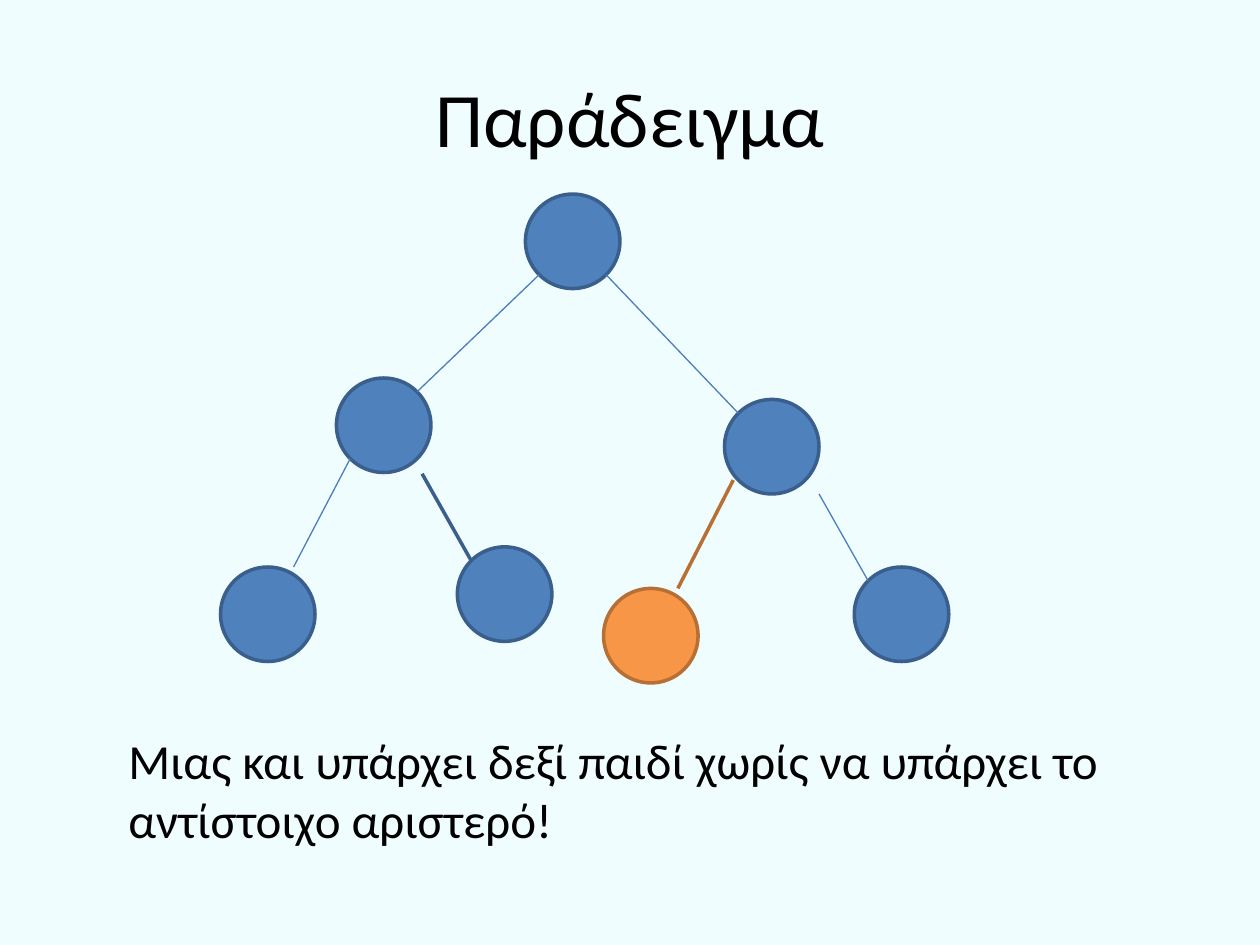
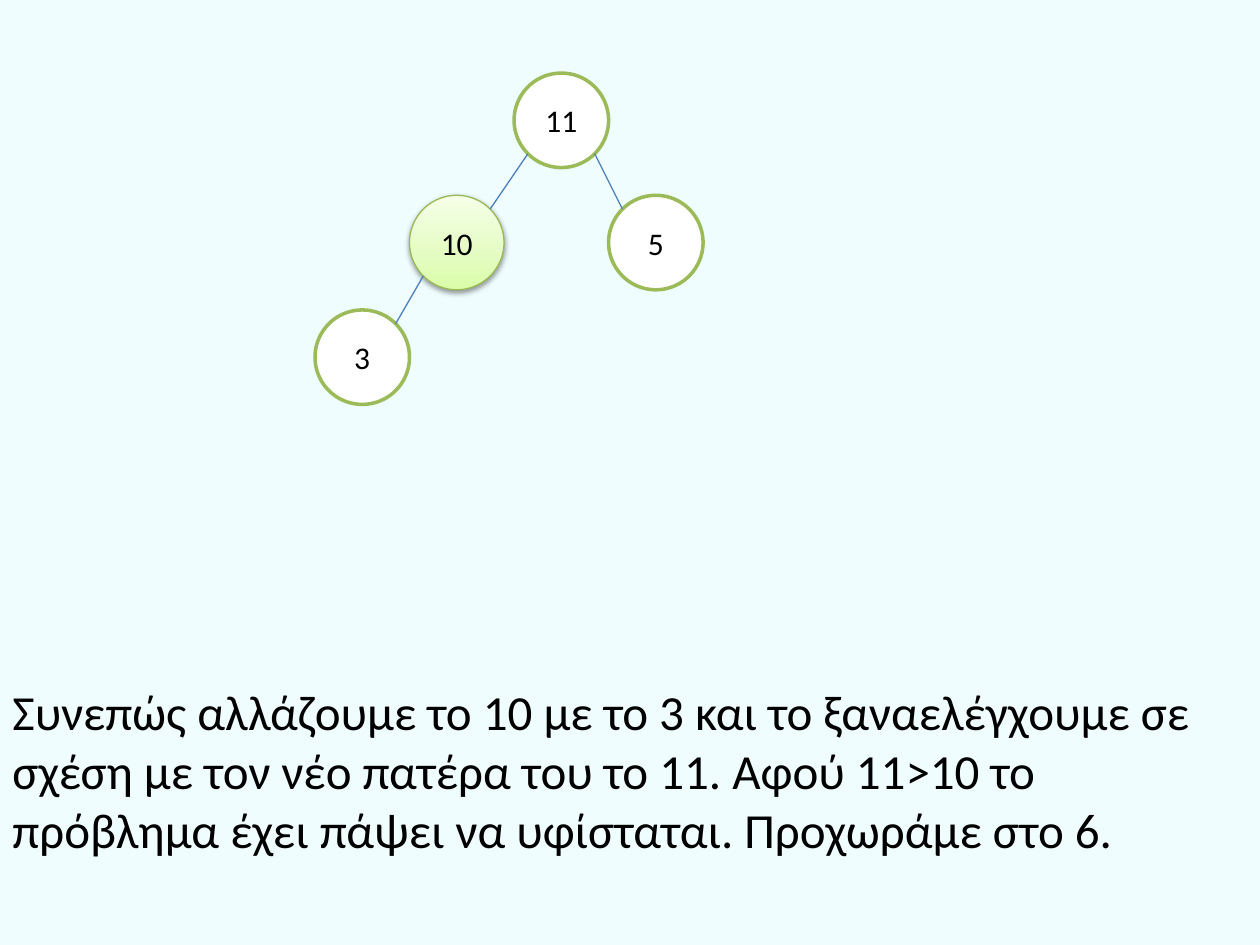
from dataclasses import dataclass
from math import sqrt
from typing import Iterable, Optional

from lxml.etree import SubElement
from pptx import Presentation
from pptx.dml.color import RGBColor as RGB
from pptx.enum.shapes import MSO_CONNECTOR as CONN, MSO_SHAPE as SHAPE
from pptx.enum.text import MSO_ANCHOR as ANCHOR, MSO_AUTO_SIZE as AUTO, PP_ALIGN as ALIGN
from pptx.oxml.ns import qn
from pptx.slide import Slide
from pptx.util import Inches, Pt

Point = tuple[float, float]


@dataclass(frozen=True)
class Style:
    """Fill and outline of a node; a gradient replaces the fill and casts a shadow."""
    fill: str
    line: str
    width: float = 2
    gradient: tuple[tuple[int, str], ...] = ()


@dataclass(frozen=True)
class Theme:
    font: str = "Calibri"
    background: str = "F0FDFE"
    text: str = "000000"
    title_size: int = 44
    body_size: int = 28
    node_size: int = 18
    diameter: float = 0.75
    edge: str = "4B7EBC"
    edge_width: float = 0.75
    blue: Style = Style("4F81BD", "3A5F8C")
    orange: Style = Style("F79646", "B76F34")
    white: Style = Style("FFFFFF", "9BBB59")
    green: Style = Style("E4FCC2", "98B955", 0.75,
                         ((0, "DAFDA7"), (35, "E4FCC2"), (100, "F5FFE7")))


THEME = Theme()


@dataclass(frozen=True)
class Node:
    left: float
    top: float
    style: Style
    label: str = ""

    def diagonal(self, dx: int, dy: int) -> Point:
        """Point on the rim, 45 degrees towards the corner (dx, dy)."""
        r = THEME.diameter / 2
        return self.left + r + dx * r / sqrt(2), self.top + r + dy * r / sqrt(2)


@dataclass(frozen=True)
class Edge:
    """Line from parent to child, rim to rim unless an end is given."""
    parent: Node
    child: Node
    start: Optional[Point] = None
    end: Optional[Point] = None
    style: Optional[Style] = None


def set_font(p, size: int) -> None:
    p.font.name = THEME.font
    p.font.size = Pt(size)
    p.font.color.rgb = RGB.from_string(THEME.text)


def set_line(line, color: str, width: float) -> None:
    line.color.rgb = RGB.from_string(color)
    line.width = Pt(width)


def add_gradient(sp, stops: Iterable[tuple[int, str]]) -> None:
    sp.fill.gradient()
    sp.fill.gradient_angle = 90
    stop_list = sp._element.spPr.find(qn("a:gradFill")).find(qn("a:gsLst"))
    for old in list(stop_list):
        stop_list.remove(old)
    for percent, color in stops:
        gs = SubElement(stop_list, qn("a:gs"), pos=str(percent * 1000))
        SubElement(gs, qn("a:srgbClr"), val=color)


def add_shadow(sp) -> None:
    effects = sp._element.spPr.find(qn("a:effectLst"))
    shadow = SubElement(effects, qn("a:outerShdw"), blurRad=str(Pt(3.1)),
                        dist=str(Pt(1.6)), dir="5400000", rotWithShape="0")
    color = SubElement(shadow, qn("a:srgbClr"), val="000000")
    SubElement(color, qn("a:alpha"), val="38000")


def add_node(slide: Slide, node: Node) -> None:
    d = Inches(THEME.diameter)
    sp = slide.shapes.add_shape(SHAPE.OVAL, Inches(node.left), Inches(node.top), d, d)
    set_line(sp.line, node.style.line, node.style.width)
    sp.shadow.inherit = False
    if node.style.gradient:
        add_gradient(sp, node.style.gradient)
        add_shadow(sp)
    else:
        sp.fill.solid()
        sp.fill.fore_color.rgb = RGB.from_string(node.style.fill)
    if node.label:
        tf = sp.text_frame
        tf.vertical_anchor = ANCHOR.MIDDLE
        p = tf.paragraphs[0]
        p.text = node.label
        p.alignment = ALIGN.CENTER
        set_font(p, THEME.node_size)


def add_edge(slide: Slide, edge: Edge) -> None:
    side = 1 if edge.child.left > edge.parent.left else -1
    start = edge.start or edge.parent.diagonal(side, 1)
    end = edge.end or edge.child.diagonal(-side, -1)
    line = slide.shapes.add_connector(CONN.STRAIGHT, *map(Inches, start + end))
    if edge.style:
        set_line(line.line, edge.style.line, edge.style.width)
    else:
        set_line(line.line, THEME.edge, THEME.edge_width)
    SubElement(line._element.spPr, qn("a:effectLst"))


def add_tree(slide: Slide, nodes: Iterable[Node], edges: Iterable[Edge]) -> None:
    for node in nodes:
        add_node(slide, node)
    for edge in edges:
        add_edge(slide, edge)


def add_title(slide: Slide, text: str) -> None:
    sp = slide.shapes.title
    sp.left, sp.top, sp.width, sp.height = map(Inches, (0.5, 0.3, 9, 1.25))
    tf = sp.text_frame
    tf.vertical_anchor = ANCHOR.MIDDLE
    p = tf.paragraphs[0]
    p.text = text
    p.alignment = ALIGN.CENTER
    set_font(p, THEME.title_size)


def add_body(slide: Slide, text: str, left: float, top: float,
             width: float, height: float) -> None:
    sp = slide.shapes.add_textbox(*map(Inches, (left, top, width, height)))
    tf = sp.text_frame
    tf.word_wrap = True
    tf.auto_size = AUTO.SHAPE_TO_FIT_TEXT
    p = tf.paragraphs[0]
    p.text = text
    set_font(p, THEME.body_size)


def build_incomplete_tree(slide: Slide) -> None:
    add_title(slide, "Παράδειγμα")
    root = Node(4.17, 1.54, THEME.blue)
    left = Node(2.67, 3, THEME.blue)
    right = Node(5.75, 3.17, THEME.blue)
    left_left = Node(1.75, 4.5, THEME.blue)
    left_right = Node(3.63, 4.34, THEME.blue)
    missing = Node(4.79, 4.67, THEME.orange)
    right_right = Node(6.78, 4.5, THEME.blue)
    add_tree(
        slide,
        (root, left, right, left_left, left_right, missing, right_right),
        (Edge(root, left),
         Edge(root, right),
         Edge(left, left_left, end=(2.33, 4.5)),
         Edge(left, left_right, start=(3.35, 3.76), style=THEME.blue),
         Edge(right, missing, (5.82, 3.81), (5.38, 4.67), THEME.orange),
         Edge(right, right_right, start=(6.5, 3.92))))
    add_body(slide, "Μιας και υπάρχει δεξί παιδί χωρίς να υπάρχει το "
                    "αντίστοιχο αριστερό!", 0.92, 5.75, 8.5, 1.04)


def build_heap_swap(slide: Slide) -> None:
    root = Node(4.08, 0.58, THEME.white, "11")
    swapped = Node(3.25, 1.55, THEME.green, "10")
    right = Node(4.83, 1.55, THEME.white, "5")
    leaf = Node(2.5, 2.46, THEME.white, "3")
    add_tree(slide, (root, swapped, right, leaf),
             (Edge(root, swapped), Edge(root, right), Edge(swapped, leaf)))
    add_body(slide, "Συνεπώς αλλάζουμε το 10 με το 3 και το ξαναελέγχουμε σε "
                    "σχέση με τον νέο πατέρα του το 11. Αφού 11>10 το πρόβλημα "
                    "έχει πάψει να υφίσταται. Προχωράμε στο 6.", 0, 5.36, 10, 1.51)


def main() -> None:
    prs = Presentation()
    prs.slide_width, prs.slide_height = Inches(10), Inches(7.5)
    fill = prs.slide_master.background.fill
    fill.solid()
    fill.fore_color.rgb = RGB.from_string(THEME.background)
    title_only = prs.slide_layouts.get_by_name("Title Only")
    blank = prs.slide_layouts.get_by_name("Blank")
    build_incomplete_tree(prs.slides.add_slide(title_only))
    build_heap_swap(prs.slides.add_slide(blank))
    prs.save("out.pptx")


if __name__ == "__main__":
    main()
